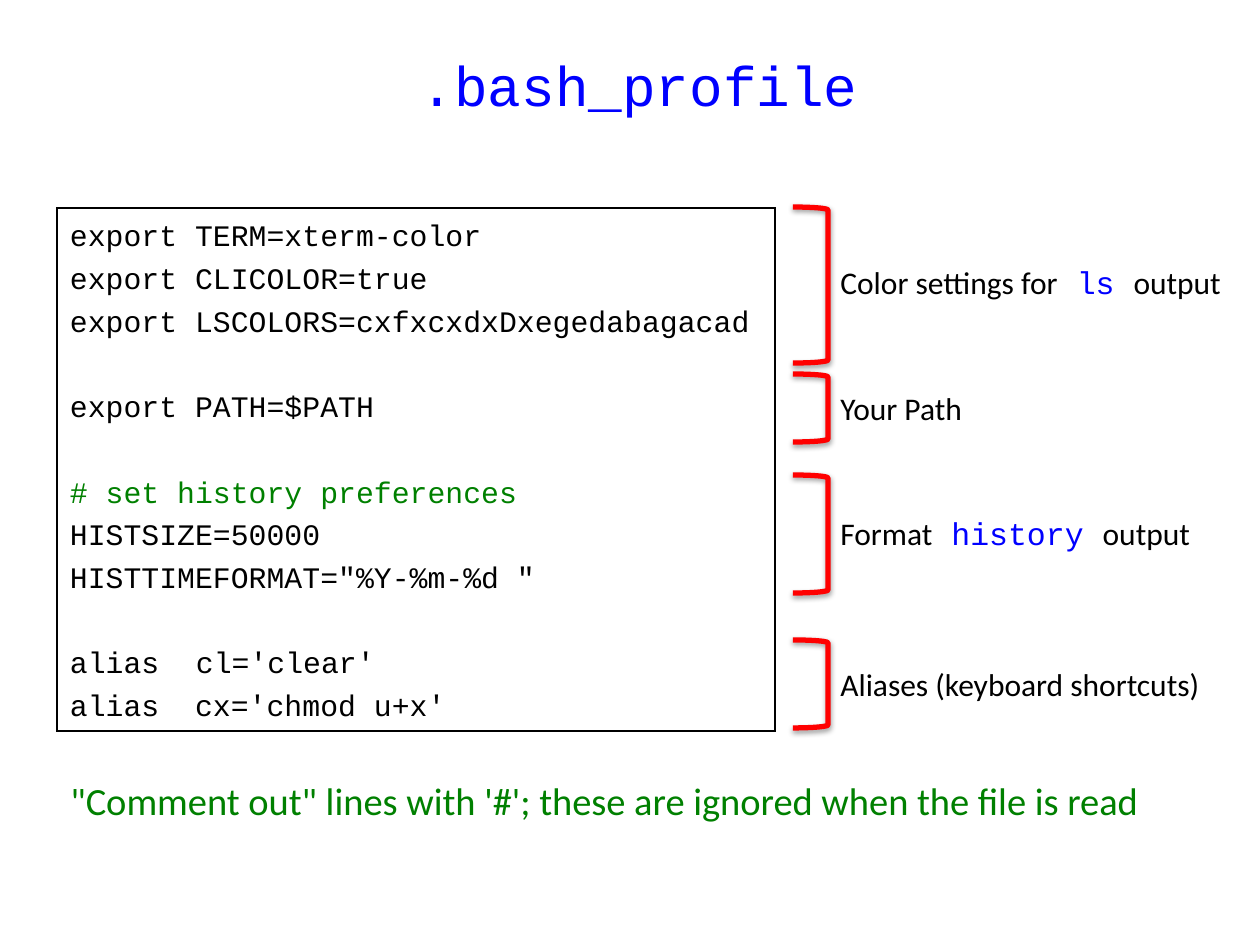
from lxml import etree
from pptx import Presentation
from pptx.dml.color import RGBColor
from pptx.enum.shapes import MSO_SHAPE
from pptx.enum.text import MSO_ANCHOR, PP_ALIGN
from pptx.oxml import parse_xml
from pptx.util import Emu, Pt

RECT, BRACKET = MSO_SHAPE.RECTANGLE, MSO_SHAPE.RIGHT_BRACKET
TOP, MIDDLE = MSO_ANCHOR.TOP, MSO_ANCHOR.MIDDLE
LEFT, CENTER = PP_ALIGN.LEFT, PP_ALIGN.CENTER
SCALE = 914400 // 126
SANS, MONO = "Calibri", "Courier New"
BLACK, BLUE, GREEN, RED = "000000", "0000FF", "008000", "FF0000"
A = "http://schemas.openxmlformats.org/drawingml/2006/main"
SHADOW = (
    f'<a:effectLst xmlns:a="{A}"><a:outerShdw blurRad="40000" dist="20000" '
    'dir="5400000" rotWithShape="0"><a:srgbClr val="000000">'
    '<a:alpha val="38000"/></a:srgbClr></a:outerShdw></a:effectLst>'
)


def px(n):
    return Emu(n * SCALE)


def color(value):
    return RGBColor.from_string(value)


def add_run(p, text, size=18, font=SANS, fill=BLACK):
    r = p.add_run()
    r.text = text
    r.font.size = Pt(size)
    r.font.name = font
    r.font.color.rgb = color(fill)


class Deck:
    def __init__(self):
        self.prs = Presentation()
        self.prs.slide_width, self.prs.slide_height = px(1260), px(945)
        self.slide = self.prs.slides.add_slide(self.prs.slide_layouts[5])

    def title(self, text, x, y, w, h):
        sp = self.slide.shapes.title
        sp.left, sp.top, sp.width, sp.height = map(px, (x, y, w, h))
        tf = sp.text_frame
        tf.vertical_anchor = MIDDLE
        p = tf.paragraphs[0]
        p.alignment = CENTER
        add_run(p, text, size=32, font=MONO, fill=BLUE)

    def shape(self, kind, x, y, w, h, line, width):
        sp = self.slide.shapes.add_shape(kind, *map(px, (x, y, w, h)))
        sp.shadow.inherit = False
        sp.fill.background()
        sp.line.color.rgb = color(line)
        sp.line.width = Pt(width)
        return sp

    def code(self, groups, x, y, w, h):
        sp = self.shape(RECT, x, y, w, h, BLACK, 0.75)
        ln = sp.line._get_or_add_ln()
        etree.SubElement(ln, etree.QName(A, "miter").text, lim="800000")
        tf = sp.text_frame
        tf.word_wrap = True
        tf.vertical_anchor = TOP
        tf.margin_left = tf.margin_right = px(13)
        tf.margin_top = px(9)
        p = None
        for group in groups:
            for line in group:
                p = tf.add_paragraph() if p else tf.paragraphs[0]
                p.alignment = LEFT
                p.space_after = Pt(4)
                fill = GREEN if line.startswith("#") else BLACK
                add_run(p, line, size=17, font=MONO, fill=fill)
            if group is not groups[-1]:
                p.space_after = Pt(28.4)

    def bracket(self, x, y, w, h):
        sp = self.shape(BRACKET, x, y, w, h, RED, 3)
        pr = sp._element.spPr
        pr.replace(pr.find(etree.QName(A, "effectLst").text), parse_xml(SHADOW))

    def text(self, runs, x, y, w, h, **style):
        sp = self.slide.shapes.add_textbox(*map(px, (x, y, w, h)))
        tf = sp.text_frame
        tf.word_wrap = False
        for text, extra in runs:
            add_run(tf.paragraphs[0], text, **{**style, **extra})


CODE = [
    ["export TERM=xterm-color", "export CLICOLOR=true",
     "export LSCOLORS=cxfxcxdxDxegedabagacad"],
    ["export PATH=$PATH"],
    ["# set history preferences", "HISTSIZE=50000",
     'HISTTIMEFORMAT="%Y-%m-%d "'],
    ["alias\tcl='clear'", "alias  cx='chmod u+x'"],
]
COMMAND = {"font": MONO, "fill": BLUE}
NOTES = [
    (207, 156, 257, 411,
     [("Color settings for", {}), (" ls ", COMMAND), ("output", {})]),
    (374, 68, 383, 151, [("Your Path", {})]),
    (475, 118, 508, 379,
     [("Format", {}), (" history ", COMMAND), ("output", {})]),
    (640, 88, 659, 391, [("Aliases (keyboard shortcuts)", {})]),
]

deck = Deck()
deck.title(".bash_profile", 58, 25, 1163, 118)
deck.code(CODE, 57, 208, 718, 523)
for top, height, label_top, width, runs in NOTES:
    deck.bracket(793, top, 35, height)
    deck.text(runs, 828, label_top, width, 50)
deck.text([("\"Comment out\" lines with '#'; these are ignored when the file is read", {})],
          58, 771, 1108, 59, size=22, fill=GREEN)
deck.prs.save("out.pptx")
